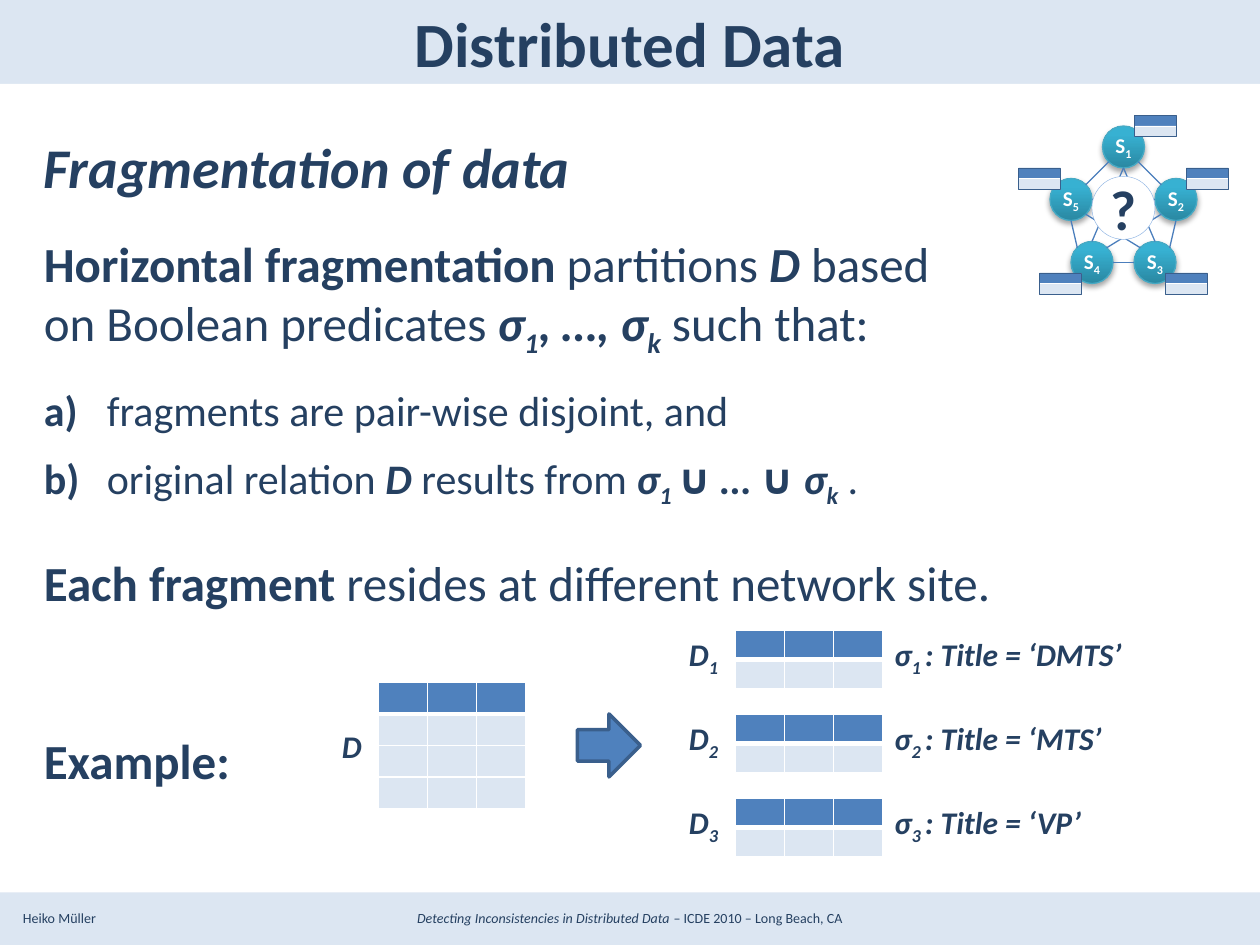
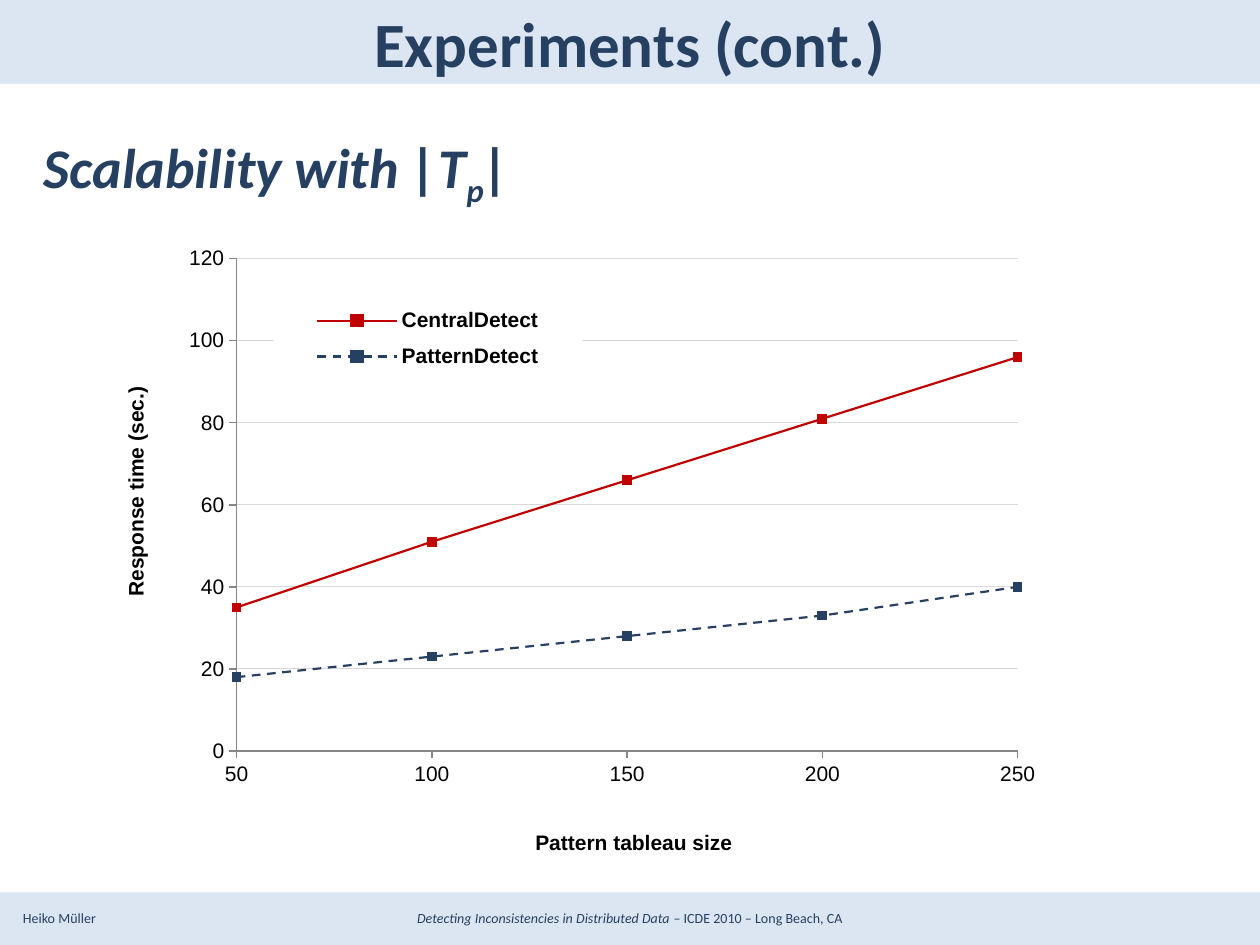
"""Build two slides on distributed data: fragmentation and scalability."""
from math import cos, radians, sin

from lxml import etree
from pptx import Presentation
from pptx.chart.data import CategoryChartData
from pptx.dml.color import RGBColor
from pptx.enum.chart import XL_CHART_TYPE, XL_LEGEND_POSITION, XL_MARKER_STYLE, XL_TICK_MARK
from pptx.enum.dml import MSO_LINE
from pptx.enum.shapes import MSO_CONNECTOR, MSO_SHAPE
from pptx.enum.text import MSO_ANCHOR, PP_ALIGN
from pptx.oxml import parse_xml
from pptx.oxml.ns import nsdecls, qn
from pptx.util import Emu, Pt

PX = 7620
NAVY = RGBColor(0x25, 0x40, 0x61)
PALE = RGBColor(0xDC, 0xE6, 0xF2)
BLUE = RGBColor(0x4F, 0x81, 0xBD)
BLUE_EDGE = RGBColor(0x3A, 0x5F, 0x8C)
LINK_BLUE = RGBColor(0x4B, 0x7E, 0xBC)
SKY = RGBColor(0x8E, 0xB4, 0xE3)
TEAL_DARK = RGBColor(0x2A, 0x88, 0xA2)
TEAL = RGBColor(0x37, 0xB1, 0xD2)
TEAL_EDGE = RGBColor(0x46, 0xAA, 0xC5)
RED = RGBColor(0xC0, 0x00, 0x00)
GRID = RGBColor(0xD9, 0xD9, 0xD9)
AXIS = RGBColor(0x86, 0x86, 0x86)
WHITE = RGBColor(0xFF, 0xFF, 0xFF)
BLACK = RGBColor(0x00, 0x00, 0x00)

LEFT, CENTER = PP_ALIGN.LEFT, PP_ALIGN.CENTER
TOP, MIDDLE = MSO_ANCHOR.TOP, MSO_ANCHOR.MIDDLE
RECT, OVAL, ARROW = MSO_SHAPE.RECTANGLE, MSO_SHAPE.OVAL, MSO_SHAPE.RIGHT_ARROW
STRAIGHT = MSO_CONNECTOR.STRAIGHT
TITLE_ONLY = 5
SITE_SIZE = 40
INDENT = 60

SITES = {1: (1050, 120), 2: (1100, 170), 3: (1080, 230), 4: (1020, 230), 5: (1000, 170)}
SITE_TABLES = [(970, 160), (1080, 110), (1130, 160), (990, 260), (1110, 260)]
LINKS = [(1, 5, 2, 1), (2, 4, 3, 7), (4, 6, 3, 2), (4, 1, 5, 4), (5, 7, 1, 3),
         (5, 6, 2, 2), (5, 5, 3, 1), (2, 3, 4, 7), (4, 0, 1, 4), (1, 4, 3, 0)]
TITLES = ["DMTS", "MTS", "VP"]

BODY = [
    ([("Fragmentation of data", "bi")], 32, 0, 0),
    ([("Horizontal fragmentation ", "b"), ("partitions ", ""), ("D", "bi"), (" based", "")],
     28, 19.5, 0),
    ([("on Boolean predicates ", ""), ("σ", "bi"), ("1", "bis"), (", …, σ", "bi"),
      ("k", "bis"), (" such that:", "")], 28, 0, 0),
    ([("a)", "b"), ("\tfragments are pair-wise disjoint, and", "")], 24, 14.6, INDENT),
    ([("b)", "b"), ("\toriginal relation ", ""), ("D", "bi"), (" results from ", ""),
      ("σ", "bi"), ("1 ", "bis"), ("∪", "b"), (" … ", "bi"), ("∪", "b"), (" σ", "bi"),
      ("k", "bis"), (" .", "")], 24, 9.8, INDENT),
    ([("Each fragment ", "b"), ("resides at different network site.", "")], 28, 24.4, 0),
    ([("Example:", "b")], 28, 68.3, 0),
]


def px(*lengths):
    """Turn whole px into EMU lengths."""
    return [Emu(length * PX) for length in lengths]


def add_spans(para, spans, size, color=NAVY, font="Calibri"):
    """Add runs; style letters are b bold, i italic, s subscript."""
    for text, style in spans:
        span = para.add_run()
        span.text = text
        span.font.name = font
        span.font.size = Pt(size)
        span.font.color.rgb = color
        span.font.bold = "b" in style
        span.font.italic = "i" in style
        if "s" in style:
            span.font._element.set("baseline", "-25000")


def add_text(page, area, spans, size, align=LEFT, anchor=TOP, wrap=True, **look):
    """Add a text box with one paragraph."""
    box = page.shapes.add_textbox(*px(*area))
    frame = box.text_frame
    frame.word_wrap = wrap
    frame.vertical_anchor = anchor
    frame.paragraphs[0].alignment = align
    add_spans(frame.paragraphs[0], spans, size, **look)
    return box


def add_body(page, area, paragraphs):
    """Add a text box with spaced and optionally indented paragraphs."""
    frame = page.shapes.add_textbox(*px(*area)).text_frame
    frame.word_wrap = True
    for index, (spans, size, before, indent) in enumerate(paragraphs):
        para = frame.add_paragraph() if index else frame.paragraphs[0]
        if before:
            para.space_before = Pt(before)
        if indent:
            properties = para._p.get_or_add_pPr()
            properties.set("marL", str(indent * PX))
            properties.set("indent", str(-indent * PX))
        add_spans(para, spans, size)


def add_figure(shapes, kind, area, fill=None, line=None, width=0.25):
    """Add a preset shape with a plain fill and line."""
    shape = shapes.add_shape(kind, *px(*area))
    shape.shadow.inherit = False
    if fill is None:
        shape.fill.background()
    else:
        shape.fill.solid()
        shape.fill.fore_color.rgb = fill
    if line is None:
        shape.line.fill.background()
    else:
        shape.line.color.rgb = line
        shape.line.width = Pt(width)
    return shape


def label_figure(shape, spans, size, color):
    """Centre a label in a shape without insets."""
    frame = shape.text_frame
    frame.margin_left = frame.margin_right = frame.margin_top = frame.margin_bottom = 0
    frame.word_wrap = False
    frame.vertical_anchor = MIDDLE
    frame.paragraphs[0].alignment = CENTER
    add_spans(frame.paragraphs[0], spans, size, color)


def add_site(page, number, left, top):
    """Add a shaded network site."""
    site = add_figure(page.shapes, OVAL, (left, top, SITE_SIZE, SITE_SIZE), TEAL, TEAL_EDGE, 0.75)
    site.fill.gradient()
    site.fill.gradient_angle = 90
    start, end = site.fill.gradient_stops
    start.color.rgb, start.position = TEAL_DARK, 0
    end.color.rgb, end.position = TEAL, 0.8
    effects = site._element.spPr.find(qn("a:effectLst"))
    effects.append(parse_xml(
        f'<a:outerShdw {nsdecls("a")} blurRad="{Pt(3.1)}" dist="{Pt(1.8)}" dir="5400000" '
        'rotWithShape="0"><a:srgbClr val="000000"><a:alpha val="35000"/></a:srgbClr>'
        '</a:outerShdw>'))
    label_figure(site, [("S", "b"), (str(number), "bs")], 12, WHITE)


def rim_point(site, eighth):
    """Find a point on a site's rim, in eighths anticlockwise from the top."""
    left, top = SITES[site]
    radius, angle = SITE_SIZE / 2, radians(45 * eighth)
    return round(left + radius - radius * sin(angle)), round(top + radius - radius * cos(angle))


def add_link(page, start, end):
    """Add a thin line between two points."""
    link = page.shapes.add_connector(STRAIGHT, *px(*start, *end))
    link.line.color.rgb = LINK_BLUE
    link.line.width = Pt(0.75)
    etree.SubElement(link._element.spPr, qn("a:effectLst"))


def add_site_table(page, left, top):
    """Add a small grouped table symbol."""
    shapes = page.shapes.add_group_shape().shapes
    add_figure(shapes, RECT, (left, top, 40, 10), BLUE, WHITE)
    add_figure(shapes, RECT, (left, top + 10, 40, 10), PALE, WHITE)
    add_figure(shapes, RECT, (left, top, 40, 20), line=BLUE_EDGE)


def add_network(page):
    """Draw the five linked sites around a question mark."""
    for number, place in SITES.items():
        add_site(page, number, *place)
    for first, first_rim, second, second_rim in LINKS:
        add_link(page, rim_point(first, first_rim), rim_point(second, second_rim))
    question = add_figure(page.shapes, OVAL, (1040, 168, 60, 60), WHITE, SKY)
    label_figure(question, [("?", "b")], 32, NAVY)
    for place in SITE_TABLES:
        add_site_table(page, *place)


def style_cell(cell, row):
    """Fill an empty cell and give it white borders."""
    cell.margin_left = cell.margin_right = cell.margin_top = cell.margin_bottom = 0
    etree.SubElement(cell.text_frame.paragraphs[0]._p, qn("a:endParaRPr"), sz="600")
    thick = {0: "lnB", 1: "lnT"}.get(row)
    for side in ("lnL", "lnR", "lnT", "lnB"):
        width = Pt(3 if side == thick else 1)
        cell._tc.get_or_add_tcPr().append(parse_xml(
            f'<a:{side} {nsdecls("a")} w="{width}"><a:solidFill><a:srgbClr val="{WHITE}"/>'
            f'</a:solidFill></a:{side}>'))
    cell.fill.solid()
    cell.fill.fore_color.rgb = PALE if row else BLUE


def add_relation(page, left, top, rows, row_height):
    """Add an empty three-column table with a header row."""
    area = px(left, top, 141, rows * row_height)
    table = page.shapes.add_table(rows, 3, *area).table
    for column in table.columns:
        column.width = Emu(47 * PX)
    for index, row in enumerate(table.rows):
        row.height = Emu(row_height * PX)
        for cell in row.cells:
            style_cell(cell, index)


def chart_layout(x, y, width, height, inner=False):
    """Make a manual layout in fractions of the chart."""
    target = '<c:layoutTarget val="inner"/>' if inner else ""
    return parse_xml(
        f'<c:layout {nsdecls("c")}><c:manualLayout>{target}<c:xMode val="edge"/>'
        f'<c:yMode val="edge"/><c:x val="{x}"/><c:y val="{y}"/><c:w val="{width}"/>'
        f'<c:h val="{height}"/></c:manualLayout></c:layout>')


def style_legend(chart):
    """Place a white legend inside the plot."""
    chart.has_legend = True
    legend = chart.legend
    legend.position = XL_LEGEND_POSITION.RIGHT
    legend.include_in_layout = False
    legend.font.size, legend.font.bold, legend.font.name = Pt(12), True, "Arial"
    element = legend._element
    for old in element.findall(qn("c:layout")):
        element.remove(old)
    element.find(qn("c:legendPos")).addnext(chart_layout(0.14, 0.11, 0.34, 0.14))
    element.find(qn("c:overlay")).addnext(parse_xml(
        f'<c:spPr {nsdecls("c", "a")}><a:solidFill><a:srgbClr val="{WHITE}"/></a:solidFill>'
        '<a:ln><a:noFill/></a:ln></c:spPr>'))


def style_axes(chart):
    """Set scale, ticks, gridlines and plot area."""
    for axis in (chart.category_axis, chart.value_axis):
        axis.major_tick_mark = XL_TICK_MARK.OUTSIDE
        axis.tick_labels.font.size = Pt(12)
        axis.tick_labels.font.name = "Arial"
        axis.format.line.color.rgb = AXIS
    values = chart.value_axis
    values.minimum_scale, values.maximum_scale, values.major_unit = 0, 120, 20
    values.has_major_gridlines = True
    values.major_gridlines.format.line.color.rgb = GRID
    values.major_gridlines.format.line.width = Pt(0.5)
    for old in values._element.findall(qn("c:crossBetween")):
        values._element.remove(old)
    values._element.find(qn("c:crosses")).addnext(
        parse_xml(f'<c:crossBetween {nsdecls("c")} val="midCat"/>'))
    plot_area = chart._chartSpace.chart.plotArea
    for old in plot_area.findall(qn("c:layout")):
        plot_area.remove(old)
    plot_area.insert(0, chart_layout(0.099, 0.049, 0.862, 0.807, inner=True))


def add_response_chart(page, area):
    """Add the line chart of response times."""
    data = CategoryChartData()
    data.categories = ["50", "100", "150", "200", "250"]
    data.add_series("CentralDetect", [35, 51, 66, 81, 96])
    data.add_series("PatternDetect", [18, 23, 28, 33, 40])
    chart = page.shapes.add_chart(XL_CHART_TYPE.LINE_MARKERS, *px(*area), data).chart
    chart.has_title = False
    chart.font.size, chart.font.name, chart.font.color.rgb = Pt(10), "Calibri", BLACK
    chart.plots[0].vary_by_categories = False
    looks = [(RED, MSO_LINE.SOLID), (NAVY, MSO_LINE.DASH)]
    for series, (color, dash) in zip(chart.plots[0].series, looks):
        series.smooth = False
        series.format.line.color.rgb = color
        series.format.line.width = Pt(1.25)
        series.format.line.dash_style = dash
        series.marker.style, series.marker.size = XL_MARKER_STYLE.SQUARE, 5
        series.marker.format.fill.solid()
        series.marker.format.fill.fore_color.rgb = color
        series.marker.format.line.color.rgb = color
    style_axes(chart)
    style_legend(chart)


def add_page(deck, title):
    """Add a slide with the shared title, white panel and footer."""
    page = deck.slides.add_slide(deck.slide_layouts[TITLE_ONLY])
    heading = page.shapes.title
    heading.left, heading.top, heading.width, heading.height = px(60, 0, 1080, 80)
    heading.text_frame.vertical_anchor = MIDDLE
    heading.text_frame.paragraphs[0].alignment = CENTER
    add_spans(heading.text_frame.paragraphs[0], [(title, "b")], 36)
    add_text(page, (10, 860, 120, 29), [("Heiko Müller", "")], 8)
    add_text(page, (20, 860, 1160, 29),
             [("Detecting Inconsistencies in Distributed Data ", "i"),
              ("– ICDE 2010 – Long Beach, CA", "")], 8, CENTER)
    add_figure(page.shapes, RECT, (0, 80, 1200, 770), WHITE)
    return page


def build_fragmentation(deck):
    """Build the slide on horizontal fragmentation."""
    page = add_page(deck, "Distributed Data")
    add_body(page, (30, 120, 1140, 710), BODY)
    add_text(page, (310, 650, 50, 120), [("D", "bi")], 18, CENTER, MIDDLE)
    add_relation(page, 360, 650, 4, 30)
    add_figure(page.shapes, ARROW, (550, 680, 60, 60), BLUE, BLUE_EDGE, 2)
    for index, title in enumerate(TITLES):
        top, number = 590 + 80 * index, index + 1
        add_text(page, (640, top, 60, 70), [("D", "bi"), (f"{number}", "bis")],
                 18, CENTER, MIDDLE)
        add_relation(page, 700, top + 10, 2, 28)
        add_text(page, (840, top, 290, 70),
                 [("σ", "bi"), (f"{number} ", "bis"), (f": Title = ‘{title}’", "bi")],
                 18, anchor=MIDDLE)
    add_network(page)


def build_scalability(deck):
    """Build the slide with the response time chart."""
    page = add_page(deck, "Experiments (cont.)")
    add_text(page, (30, 120, 1140, 70),
             [("Scalability with |T", "bi"), ("p", "bis"), ("|", "bi")], 32)
    add_response_chart(page, (140, 218, 863, 581))
    caption = {"wrap": False, "color": BLACK, "font": "Arial"}
    add_text(page, (498, 784, 214, 36), [("Pattern tableau size", "b")], 12, **caption)
    side = add_text(page, (16, 449, 226, 36), [("Response time (sec.)", "b")], 12, **caption)
    side.rotation = 270


def main():
    """Build and save the deck."""
    deck = Presentation()
    deck.slide_width, deck.slide_height = px(1200, 900)
    background = deck.slide_master.background.fill
    background.solid()
    background.fore_color.rgb = PALE
    build_fragmentation(deck)
    build_scalability(deck)
    deck.save("out.pptx")


if __name__ == "__main__":
    main()
